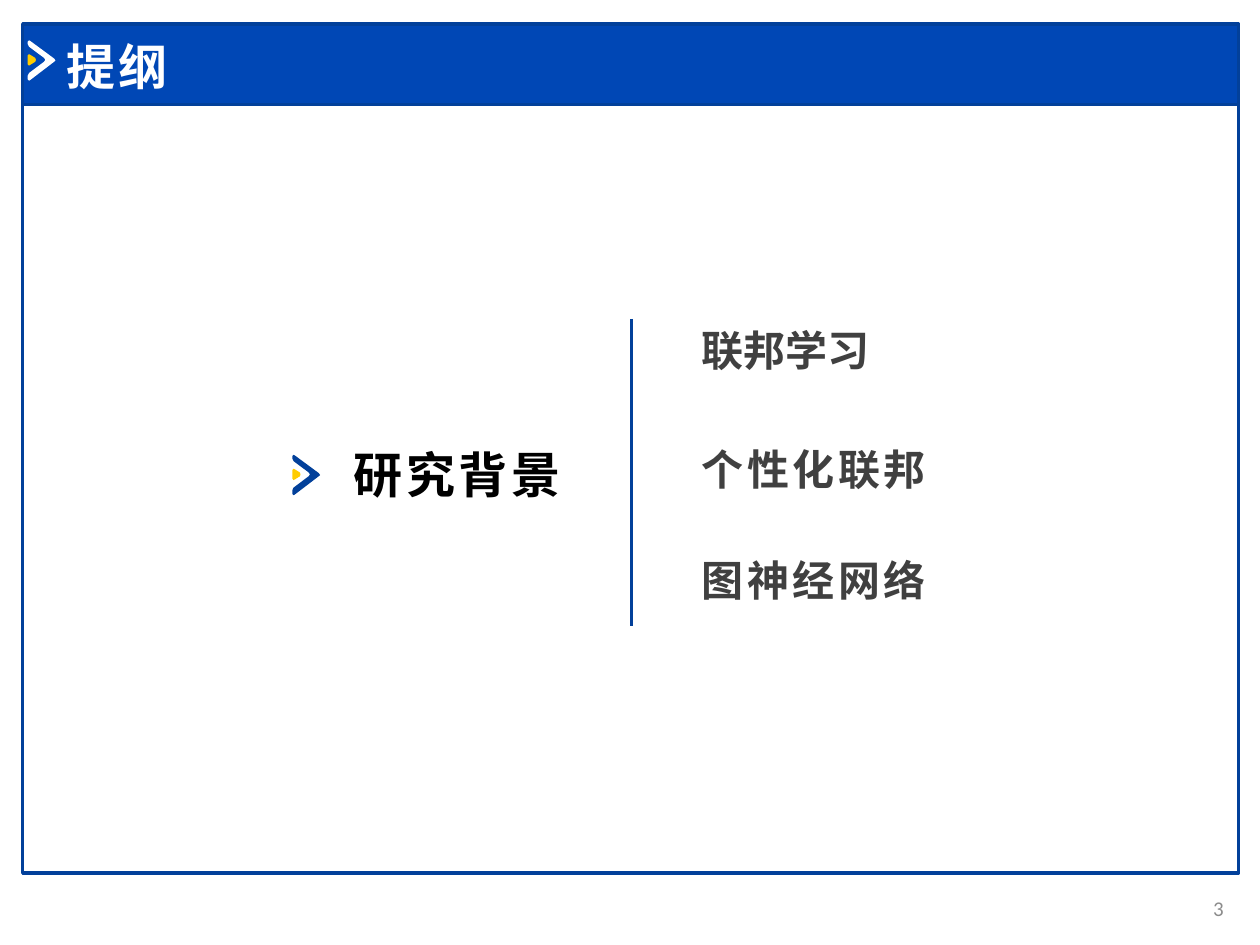
import dataclasses

import pptx
import pptx.dml.color
import pptx.enum.shapes
import pptx.enum.text
import pptx.util
from lxml import etree
from pptx.util import Inches

HUES = {
    "blue": "0047B5", "navy": "02409A", "gold": "FFCC00", "white": "FFFFFF",
    "black": "000000", "dark": "404040", "gray": "8C8C8C",
}
CJK = "Noto Sans CJK SC"
ALIGN = pptx.enum.text.PP_ALIGN
ANCHOR = pptx.enum.text.MSO_ANCHOR

# Outlines with softened corners, in inches from the marker's top left
CHEVRON = [
    (0.01, 0), (0, 0.01), (0, 0.03), (0.01, 0.05), (0.13, 0.14), (0.14, 0.155),
    (0.13, 0.17), (0.01, 0.26), (0, 0.28), (0, 0.31), (0.01, 0.32),
    (0.02, 0.315), (0.21, 0.17), (0.22, 0.16), (0.21, 0.145), (0.02, 0.005),
]
DART = [
    (0.01, 0.11), (0, 0.12), (0, 0.19), (0.01, 0.2), (0.02, 0.195),
    (0.06, 0.17), (0.065, 0.155), (0.06, 0.14), (0.02, 0.115),
]


@dataclasses.dataclass
class Topic:
    text: str
    top: float
    width: float
    font: str = CJK
    gap: float = 2


TOPICS = [
    Topic("联邦学习", 2.53, 3.75, font="Calibri", gap=0),
    Topic("个性化联邦", 3.47, 3.19),
    Topic("图神经网络", 4.35, 2.48),
]


def hue(name: str) -> pptx.dml.color.RGBColor:
    return pptx.dml.color.RGBColor.from_string(HUES[name])


def add_text(slide, text: str, left: float, top: float, width: float,
             height: float, *, size: float, color: str, font: str = CJK,
             bold: bool = True, gap: float = 0, align=ALIGN.LEFT,
             anchor=ANCHOR.TOP) -> None:
    box = slide.shapes.add_textbox(
        Inches(left), Inches(top), Inches(width), Inches(height))
    frame = box.text_frame
    frame.word_wrap = True
    frame.vertical_anchor = anchor
    para = frame.paragraphs[0]
    para.alignment = align
    run = para.add_run()
    run.text = text
    run.font.size = pptx.util.Pt(size)
    run.font.bold = bold
    run.font.name = font
    run.font.color.rgb = hue(color)
    props = run.font._element
    if gap:
        props.set("spc", str(round(gap * 100)))
    east = etree.SubElement(props, pptx.oxml.ns.qn("a:ea"))
    east.set("typeface", CJK)


def add_panel(slide, top: float, height: float, fill: str = "") -> None:
    panel = slide.shapes.add_shape(
        pptx.enum.shapes.MSO_SHAPE.RECTANGLE,
        Inches(0.18), Inches(top), Inches(9.65), Inches(height))
    panel.shadow.inherit = False
    if fill:
        panel.fill.solid()
        panel.fill.fore_color.rgb = hue(fill)
    else:
        panel.fill.background()
    panel.line.color.rgb = hue("navy")
    panel.line.width = pptx.util.Pt(2)


def add_marker(slide, left: float, top: float, color: str) -> None:
    for outline, fill in ((CHEVRON, color), (DART, "gold")):
        points = [(Inches(left + x), Inches(top + y)) for x, y in outline]
        pen = slide.shapes.build_freeform(*points[0])
        pen.add_line_segments(points[1:], close=True)
        shape = pen.convert_to_shape()
        shape.shadow.inherit = False
        shape.fill.solid()
        shape.fill.fore_color.rgb = hue(fill)
        shape.line.fill.background()


def add_rule(slide, left: float, top: float, bottom: float) -> None:
    rule = slide.shapes.add_connector(
        pptx.enum.shapes.MSO_CONNECTOR.STRAIGHT,
        Inches(left), Inches(top), Inches(left), Inches(bottom))
    rule.line.color.rgb = hue("navy")
    rule.line.width = pptx.util.Pt(1.5)
    etree.SubElement(rule._element.spPr, pptx.oxml.ns.qn("a:effectLst"))


def main() -> None:
    deck = pptx.Presentation()
    deck.slide_width, deck.slide_height = Inches(10), Inches(7.5)
    slide = deck.slides.add_slide(deck.slide_layouts[6])

    # Frame and title bar
    add_panel(slide, 0.83, 6.1)
    add_panel(slide, 0.19, 0.64, fill="blue")
    add_marker(slide, 0.22, 0.32, "white")
    add_text(slide, "提纲", 0.43, 0.24, 8.28, 0.57, size=28, color="white",
             font="Calibri", gap=2, anchor=ANCHOR.MIDDLE)

    # Section name
    add_marker(slide, 2.32, 3.61, "navy")
    add_text(slide, "研究背景", 2.71, 3.48, 2.15, 0.57, size=28,
             color="black", gap=2)

    # Divider and topics
    add_rule(slide, 5.01, 2.53, 4.97)
    for topic in TOPICS:
        add_text(slide, topic.text, 5.47, topic.top, topic.width, 0.5,
                 size=24, color="dark", font=topic.font, gap=topic.gap)

    # Page number
    add_text(slide, "3", 9.22, 7.01, 0.59, 0.4, size=12, color="gray",
             font="Calibri", bold=False, align=ALIGN.RIGHT,
             anchor=ANCHOR.MIDDLE)

    deck.save("out.pptx")


if __name__ == "__main__":
    main()
